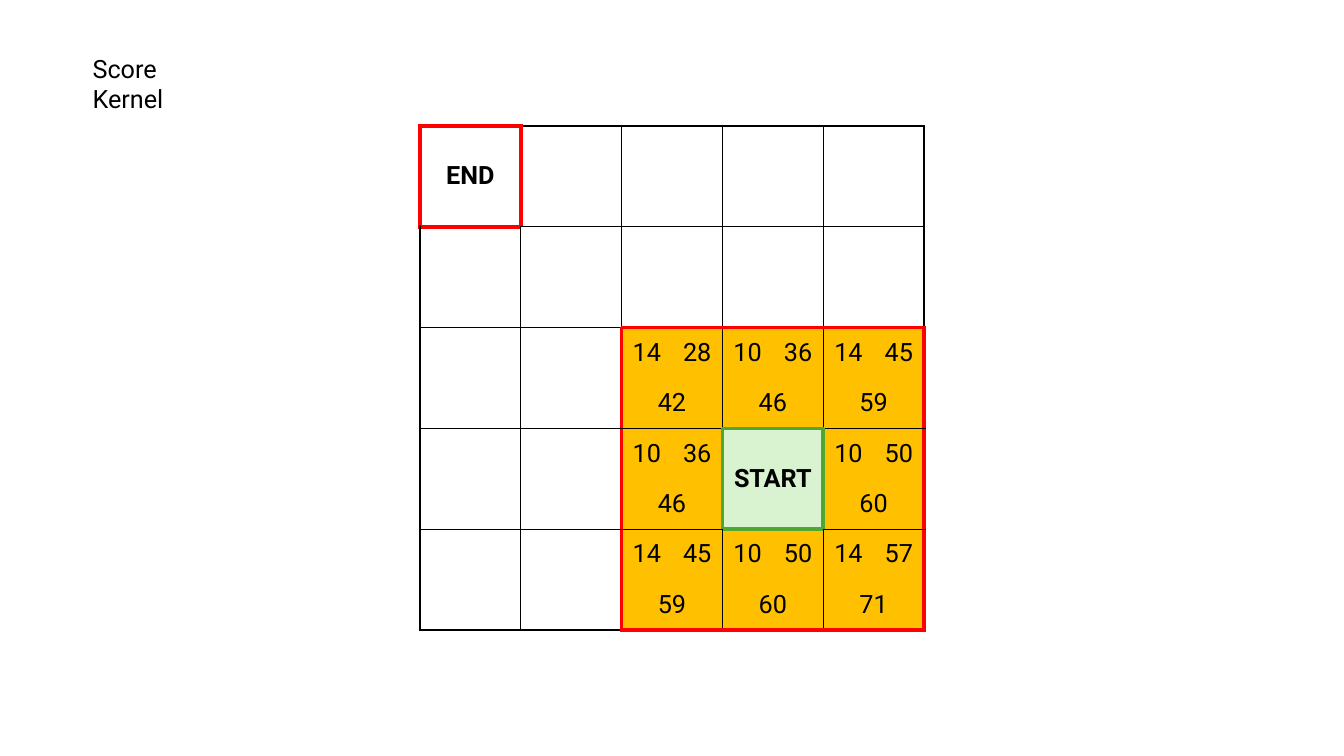
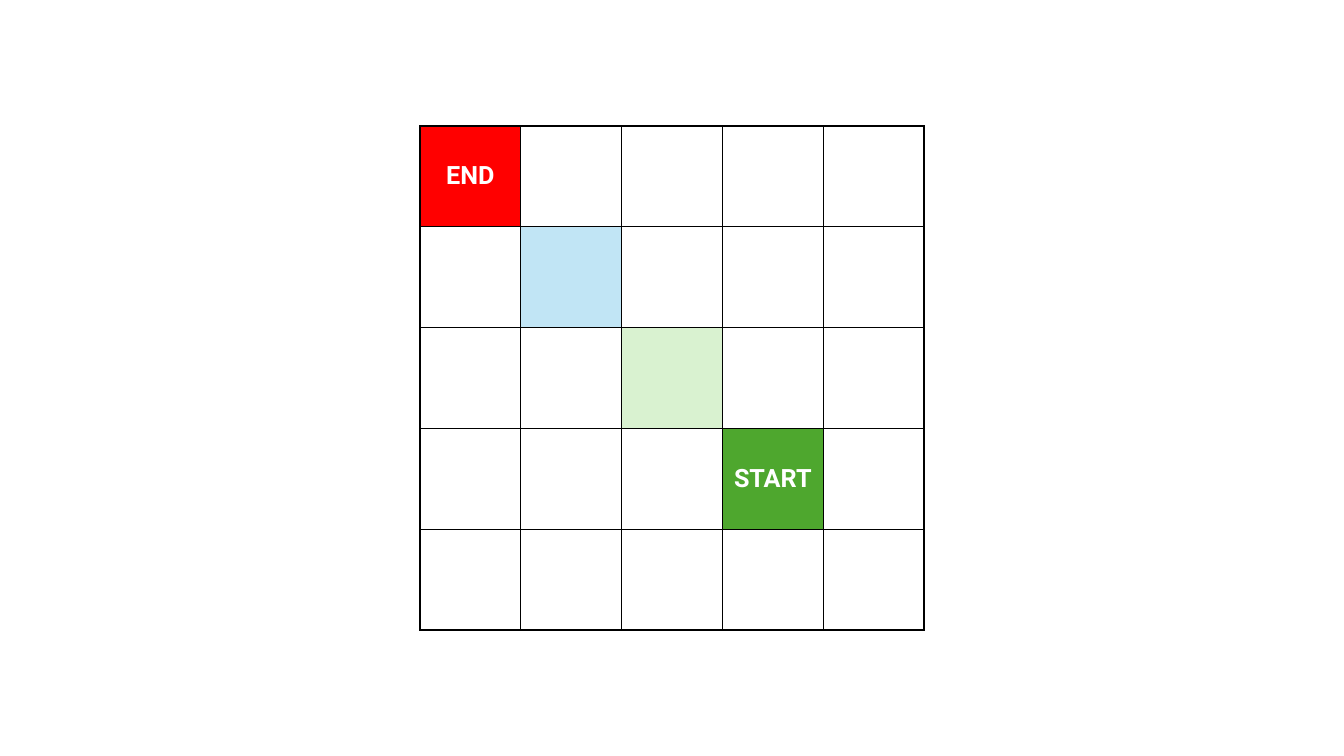
import itertools

import lxml.etree
import pptx
import pptx.dml.color
import pptx.enum.text
import pptx.oxml.ns
import pptx.util

COLORS = {
    "black": "000000", "white": "FFFFFF", "red": "FF0000", "green": "4EA72E",
    "mint": "D9F2D0", "sky": "C1E5F5", "amber": "FFC000",
}
FONT = "Roboto"
TEXT_SIZE = pptx.util.Pt(18)
SQUARES = 5  # squares per side of the board, each made of 2 x 2 table cells
THIN, THICK = 1, 3

# Table cells of one square: row, column, rows spanned, columns spanned
WHOLE = [(0, 0, 2, 2)]
SCORED = [(0, 0, 1, 1), (0, 1, 1, 1), (1, 0, 1, 2)]

END, START = (0, 0), (3, 3)
LABELS = {END: "END", START: "START"}

# Cost from the start and estimate to the end, by square
SCORES = {
    (2, 2): (14, 28), (2, 3): (10, 36), (2, 4): (14, 45),
    (3, 2): (10, 36), (3, 4): (10, 50),
    (4, 2): (14, 45), (4, 3): (10, 50), (4, 4): (14, 57),
}

# Outlines: first row, first column, squares per side, colour
BOARDS = [
    {
        "caption": "Score Kernel",
        "label_color": "black",
        "scores": SCORES,
        "fills": {**dict.fromkeys(SCORES, "amber"), START: "mint"},
        "outlines": [(*END, 1, "red"), (2, 2, 3, "red"), (*START, 1, "green")],
    },
    {
        "caption": None,
        "label_color": "white",
        "scores": {},
        "fills": {END: "red", (1, 1): "sky", (2, 2): "mint", START: "green"},
        "outlines": [],
    },
]


def write(paragraph, text, color="black", bold=False):
    paragraph.text = text
    paragraph.font.name = FONT
    paragraph.font.size = TEXT_SIZE
    paragraph.font.bold = bold
    paragraph.font.color.rgb = pptx.dml.color.RGBColor.from_string(COLORS[color])


def set_borders(cell, lines):
    """Draw each side, L R T B, as (colour, points), or leave it open for None."""
    qn = pptx.oxml.ns.qn
    properties = cell._tc.get_or_add_tcPr()
    for side, line in lines.items():
        border = lxml.etree.SubElement(properties, qn(f"a:ln{side}"))
        if line is None:
            lxml.etree.SubElement(border, qn("a:noFill"))
            continue
        color, points = line
        border.set("w", str(pptx.util.Pt(points)))
        solid = lxml.etree.SubElement(border, qn("a:solidFill"))
        lxml.etree.SubElement(solid, qn("a:srgbClr"), val=COLORS[color])


deck = pptx.Presentation()
deck.slide_width = pptx.util.Inches(13.33)
deck.slide_height = pptx.util.Inches(7.5)
step = deck.slide_height // 15
board_size = step * 2 * SQUARES
board_left = (deck.slide_width - board_size) // 2
board_top = (deck.slide_height - board_size) // 2

for board in BOARDS:
    slide = deck.slides.add_slide(deck.slide_layouts[6])
    grid = slide.shapes.add_table(
        2 * SQUARES, 2 * SQUARES, board_left, board_top, board_size, board_size
    ).table
    grid.first_row = grid.horz_banding = False
    for band in itertools.chain(grid.rows, grid.columns):
        if hasattr(band, "height"):
            band.height = step
        else:
            band.width = step

    # Edges that stand out, by direction and position on the board
    edges = {}
    for top, left, side, color in board["outlines"]:
        for offset, far in itertools.product(range(side), (0, side)):
            edges["across", top + far, left + offset] = (color, THICK)
            edges["down", top + offset, left + far] = (color, THICK)

    for square in itertools.product(range(SQUARES), repeat=2):
        row, column = square
        around = {
            "L": edges.get(("down", row, column), ("black", THIN)),
            "R": edges.get(("down", row, column + 1), ("black", THIN)),
            "T": edges.get(("across", row, column), ("black", THIN)),
            "B": edges.get(("across", row + 1, column), ("black", THIN)),
        }
        if square in LABELS:
            parts, texts = WHOLE, [LABELS[square]]
            style = {"color": board["label_color"], "bold": True}
        else:
            scores = board["scores"].get(square)
            parts, style = SCORED, {}
            texts = [*scores, sum(scores)] if scores else [""] * len(parts)

        for (y, x, height, width), text in zip(parts, texts):
            first = grid.cell(2 * row + y, 2 * column + x)
            if height * width > 1:
                first.merge(grid.cell(2 * row + y + height - 1, 2 * column + x + width - 1))
            for down, right in itertools.product(range(height), range(width)):
                cell = grid.cell(2 * row + y + down, 2 * column + x + right)
                tall, wide = (height, width) if cell.is_merge_origin else (1, 1)
                outer = {
                    "L": x + right == 0,
                    "R": x + right + wide == 2,
                    "T": y + down == 0,
                    "B": y + down + tall == 2,
                }
                set_borders(cell, {s: around[s] if outer[s] else None for s in outer})
                if square in board["fills"]:
                    cell.fill.solid()
                    cell.fill.fore_color.rgb = pptx.dml.color.RGBColor.from_string(
                        COLORS[board["fills"][square]])
                else:
                    cell.fill.background()
            if text:
                first.vertical_anchor = pptx.enum.text.MSO_ANCHOR.MIDDLE
                paragraph = first.text_frame.paragraphs[0]
                write(paragraph, str(text), **style)
                paragraph.alignment = pptx.enum.text.PP_ALIGN.CENTER

    if board["caption"]:
        caption = slide.shapes.add_textbox(
            pptx.util.Inches(0.82), pptx.util.Inches(0.48), step * 3, pptx.util.Inches(0.7)
        ).text_frame
        caption.word_wrap = True
        write(caption.paragraphs[0], board["caption"])

deck.save("out.pptx")
